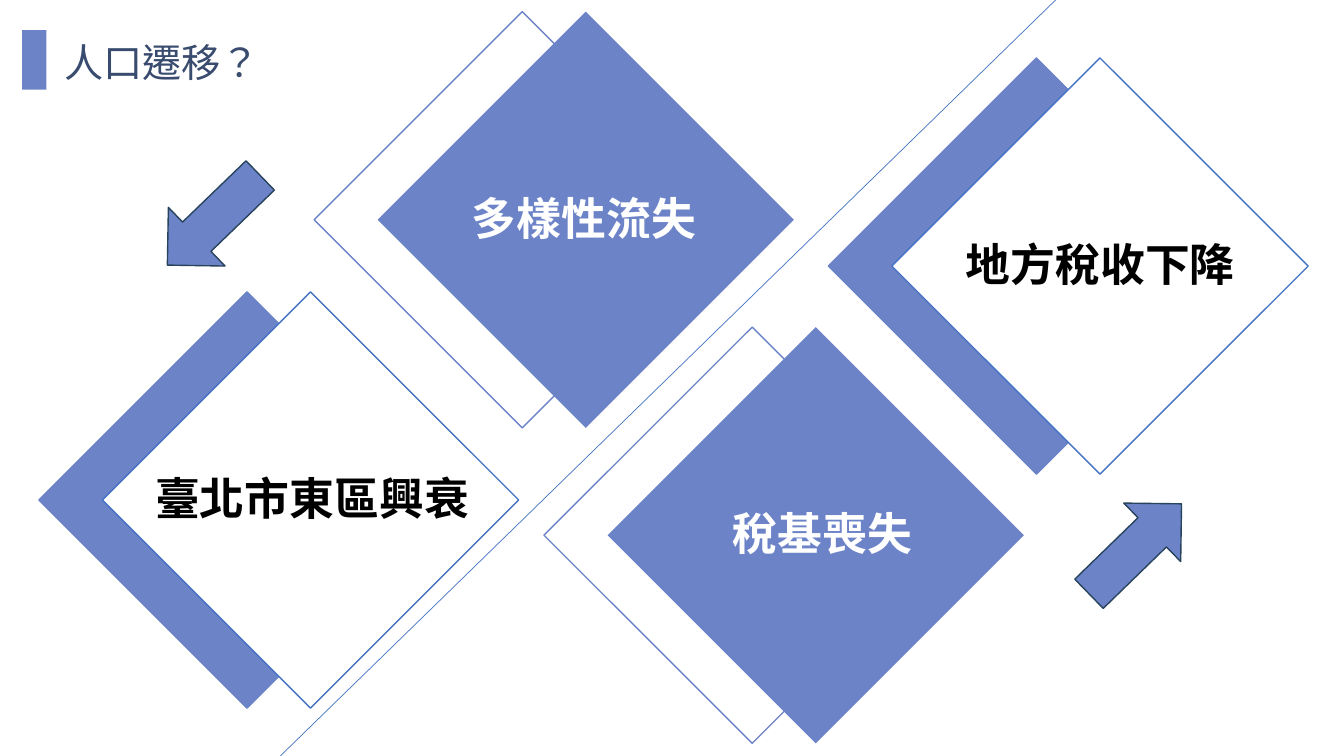
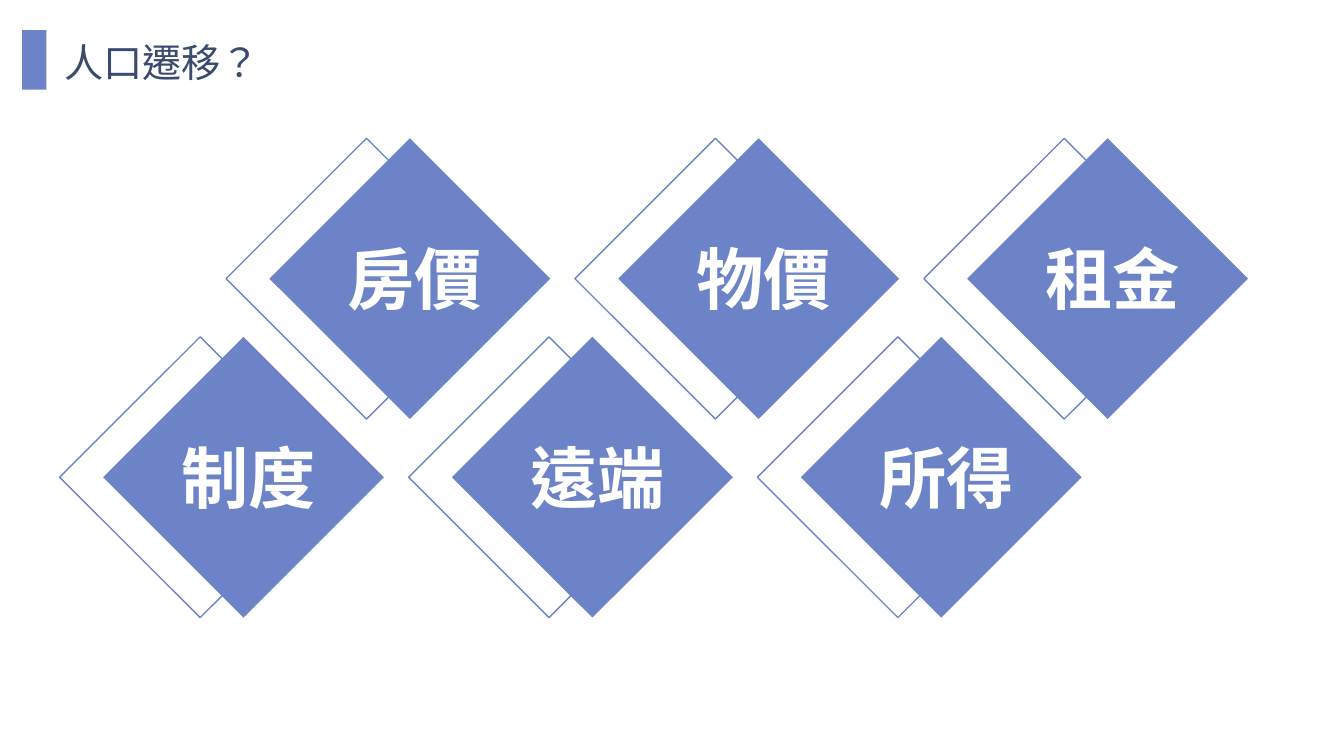
"""Build two slides of overlapping diamond tiles about population migration."""
from dataclasses import dataclass
from itertools import product
from typing import Optional

from lxml.etree import SubElement
from pptx import Presentation
from pptx.dml.color import RGBColor
from pptx.enum.shapes import MSO_CONNECTOR, MSO_SHAPE
from pptx.oxml.ns import qn
from pptx.util import Inches, Pt

FONT = "Calibri"
TITLE = "人口遷移？"
COLORS = {
    "blue": "6D83C8",
    "edge": "4472C4",
    "title": "394B6E",
    "arrow_edge": "28445D",
    "white": "FFFFFF",
    "black": "000000",
}


@dataclass(frozen=True)
class Box:
    """A rectangle in inches."""

    left: float
    top: float
    width: float
    height: float


@dataclass(frozen=True)
class Paint:
    """Fill and outline colour names; None leaves the part empty."""

    fill: Optional[str] = None
    line: Optional[str] = None


@dataclass(frozen=True)
class TileStyle:
    """The look of a back and front diamond pair with its label."""

    back: Paint
    front: Paint
    text: str


@dataclass(frozen=True)
class TileSize:
    """Side of the unrotated square, gap between the pair, and label metrics."""

    side: float
    shift: float
    label_width: float
    label_height: float
    label_drop: float
    points: int


@dataclass(frozen=True)
class Tile:
    """One labelled diamond pair; label_inset is measured from the front square."""

    label: str
    left: float
    top: float
    label_inset: float
    style: TileStyle


@dataclass(frozen=True)
class Arrow:
    """A rotated block arrow."""

    box: Box
    angle: float


SOLID = TileStyle(Paint(line="blue"), Paint(fill="blue"), "white")
FRAMED = TileStyle(Paint("blue", "blue"), Paint("white", "edge"), "black")
LARGE = TileSize(2.92, 0.63, 3.55, 0.64, 1.12, 32)
SMALL = TileSize(1.97, 0.43, 2.51, 0.91, 0.53, 48)

EFFECT_TILES = (
    Tile("多樣性流失", 3.72, 0.72, 0.23, SOLID),
    Tile("稅基喪失", 6.0, 3.85, 0.54, SOLID),
    Tile("臺北市東區興衰", 0.99, 3.5, -0.18, FRAMED),
    Tile("地方稅收下降", 8.82, 1.18, 0.03, FRAMED),
)
ARROWS = (
    Arrow(Box(1.48, 1.78, 1.28, 0.81), 136),
    Arrow(Box(10.62, 5.04, 1.28, 0.81), 315.8),
)
CAUSES = (("房價", "物價", "租金"), ("制度", "遠端", "所得"))
ROW_LEFTS = (2.65, 1.0)
FIRST_ROW_TOP = 1.78
COLUMN_PITCH = 3.46


def rgb(name: str) -> RGBColor:
    """Look up a named colour."""
    return RGBColor.from_string(COLORS[name])


def add_block(shapes, kind: MSO_SHAPE, box: Box, paint: Paint, angle: float = 0) -> None:
    """Draw a preset shape without shadow."""
    shape = shapes.add_shape(
        kind, Inches(box.left), Inches(box.top), Inches(box.width), Inches(box.height)
    )
    shape.shadow.inherit = False
    shape.rotation = angle
    if paint.fill:
        shape.fill.solid()
        shape.fill.fore_color.rgb = rgb(paint.fill)
    else:
        shape.fill.background()
    if paint.line:
        shape.line.color.rgb = rgb(paint.line)
        shape.line.width = Pt(1)
    else:
        shape.line.fill.background()


def add_label(shapes, text: str, box: Box, points: int, color: str, bold: bool) -> None:
    """Write one line of left-aligned text."""
    label = shapes.add_textbox(
        Inches(box.left), Inches(box.top), Inches(box.width), Inches(box.height)
    )
    label.text_frame.word_wrap = True
    label.text_frame.text = text
    span = label.text_frame.paragraphs[0].runs[0]
    span.font.name = FONT
    span.font.size = Pt(points)
    span.font.bold = bold
    span.font.color.rgb = rgb(color)
    span._r.get_or_add_rPr().set("lang", "zh-TW")


def add_tile(page, tile: Tile, size: TileSize) -> None:
    """Draw a diamond pair and its label as one group."""
    shapes = page.shapes.add_group_shape().shapes
    front_left = tile.left + size.shift
    for left, paint in ((tile.left, tile.style.back), (front_left, tile.style.front)):
        square = Box(left, tile.top, size.side, size.side)
        add_block(shapes, MSO_SHAPE.RECTANGLE, square, paint, 45)
    label_box = Box(
        front_left + tile.label_inset,
        tile.top + size.label_drop,
        size.label_width,
        size.label_height,
    )
    add_label(shapes, tile.label, label_box, size.points, tile.style.text, True)


def add_divider(page) -> None:
    """Draw the thin diagonal across the page."""
    line = page.shapes.add_connector(
        MSO_CONNECTOR.STRAIGHT, Inches(2.78), Inches(7.5), Inches(10.47), Inches(0)
    )
    line.line.color.rgb = rgb("edge")
    line.line.width = Pt(0.5)
    SubElement(line._element.spPr, qn("a:effectLst"))


def add_page(deck):
    """Add a blank page with the shared title and its colour bar."""
    page = deck.slides.add_slide(deck.slide_layouts[6])
    shapes = page.shapes.add_group_shape().shapes
    add_block(shapes, MSO_SHAPE.RECTANGLE, Box(0.22, 0.3, 0.24, 0.59), Paint("blue"))
    add_label(shapes, TITLE, Box(0.54, 0.33, 3.39, 0.57), 28, "title", False)
    return page


def build_effects(deck) -> None:
    """Build the page of large diamonds split by a diagonal."""
    page = add_page(deck)
    for tile in EFFECT_TILES[:2]:
        add_tile(page, tile, LARGE)
    add_divider(page)
    for tile in EFFECT_TILES[2:]:
        add_tile(page, tile, LARGE)
    for arrow in ARROWS:
        paint = Paint("blue", "arrow_edge")
        add_block(page.shapes, MSO_SHAPE.RIGHT_ARROW, arrow.box, paint, arrow.angle)


def build_causes(deck) -> None:
    """Build the page with two staggered rows of small diamonds."""
    page = add_page(deck)
    for row, column in product(range(2), range(3)):
        left = ROW_LEFTS[row] + column * COLUMN_PITCH
        top = FIRST_ROW_TOP + row * SMALL.side
        add_tile(page, Tile(CAUSES[row][column], left, top, 0.27, SOLID), SMALL)


def main() -> None:
    """Create and save the deck."""
    deck = Presentation()
    deck.slide_width = Inches(13.33)
    deck.slide_height = Inches(7.5)
    build_effects(deck)
    build_causes(deck)
    deck.save("out.pptx")


if __name__ == "__main__":
    main()
